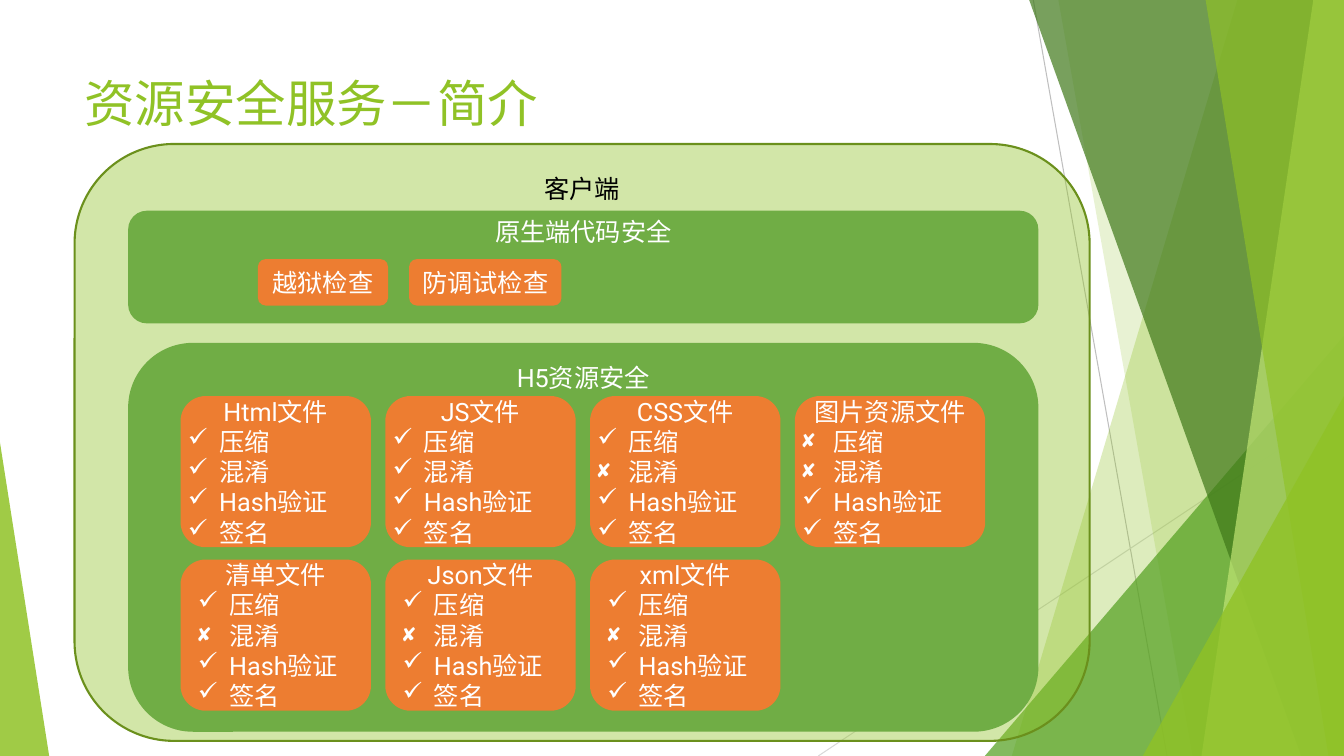
from dataclasses import dataclass

from pptx import Presentation
from pptx.dml.color import RGBColor
from pptx.enum.shapes import MSO_CONNECTOR as Connector, MSO_SHAPE as Preset
from pptx.enum.text import MSO_ANCHOR as Anchor, PP_ALIGN as Align
from pptx.oxml.ns import qn
from pptx.util import Cm, Pt
from lxml.etree import SubElement


@dataclass(frozen=True)
class Theme:
    """Colours, font and type sizes of the slide."""
    font: str = "Roboto"
    title_size: int = 36
    body_size: int = 18
    lime: str = "90C226"
    pale_lime: str = "C0E474"
    leaf: str = "54A021"
    forest: str = "3F7819"
    olive: str = "6B901C"
    panel: str = "70AD45"
    card: str = "ED7D31"
    ray: str = "BFBFBF"
    pale_ray: str = "D9D9D9"
    light: str = "FFFFFF"
    dark: str = "000000"


class SlideBuilder:
    """Draws styled elements on one slide, measured in centimetres."""

    def __init__(self, slide, theme):
        self.shapes = slide.shapes
        self.theme = theme

    def paint(self, shape, colour, opacity=100):
        shape.shadow.inherit = False
        shape.line.fill.background()
        shape.fill.solid()
        shape.fill.fore_color.rgb = RGBColor.from_string(colour)
        if opacity < 100:
            tint = shape._element.spPr.find(qn("a:solidFill"))[0]
            SubElement(tint, qn("a:alpha"), val=str(opacity * 1000))

    def set_text(self, paragraph, text, colour, size, align=Align.LEFT, bullet=None):
        paragraph.text = text
        paragraph.alignment = align
        if bullet:
            properties = paragraph._p.get_or_add_pPr()
            properties.set("marL", str(Cm(0.79)))
            properties.set("indent", str(-Cm(0.79)))
            SubElement(properties, qn("a:buChar"), char=bullet)
        font = paragraph.font
        font.name, font.size = self.theme.font, Pt(size)
        font.color.rgb = RGBColor.from_string(colour)

    def ray(self, start, end, colour):
        line = self.shapes.add_connector(Connector.STRAIGHT, *map(Cm, start + end))
        line.line.color.rgb = RGBColor.from_string(colour)
        line.line.width = Pt(0.75)
        SubElement(line._element.spPr, qn("a:effectLst"))

    def facet(self, top_x, bottom_x, colour, opacity):
        right, top, bottom = Cm(33.87), Cm(-0.02), Cm(19.05)
        outline = self.shapes.build_freeform(Cm(top_x), top)
        outline.add_line_segments([(right, top), (right, bottom), (Cm(bottom_x), bottom)])
        self.paint(outline.convert_to_shape(), colour, opacity)

    def triangle(self, box, apex, colour, opacity):
        triangle = self.shapes.add_shape(Preset.ISOSCELES_TRIANGLE, *map(Cm, box))
        triangle.adjustments[0] = apex
        self.paint(triangle, colour, opacity)

    def title(self, box, text):
        frame = self.shapes.add_textbox(*map(Cm, box)).text_frame
        frame.word_wrap = True
        self.set_text(frame.paragraphs[0], text, self.theme.lime, self.theme.title_size)

    def block(self, preset, box, heading, fill, opacity=100, colour=None,
              anchor=Anchor.MIDDLE, inset=True):
        block = self.shapes.add_shape(preset, *map(Cm, box))
        self.paint(block, fill, opacity)
        frame = block.text_frame
        frame.word_wrap = True
        frame.vertical_anchor = anchor
        if not inset:
            frame.margin_left = frame.margin_right = 0
            frame.margin_top = frame.margin_bottom = 0
        self.set_text(frame.paragraphs[0], heading, colour or self.theme.light,
                      self.theme.body_size, Align.CENTER)
        return block

    def panel(self, box, heading, fill, **style):
        return self.block(Preset.ROUNDED_RECTANGLE, box, heading, fill,
                          anchor=Anchor.TOP, inset=False, **style)

    def card(self, box, heading, checks=(), inset=True):
        card = self.block(Preset.FLOWCHART_ALTERNATE_PROCESS, box, heading,
                          self.theme.card, inset=inset)
        for mark, measure in checks:
            self.set_text(card.text_frame.add_paragraph(), measure, self.theme.light,
                          self.theme.body_size, bullet=mark)


MEASURES = ("压缩", "混淆", "Hash验证", "签名")
FILE_ROWS = (
    (("Html文件", "✓✓✓✓"), ("JS文件", "✓✓✓✓"), ("CSS文件", "✓✘✓✓"), ("图片资源文件", "✘✘✓✓")),
    (("清单文件", "✓✘✓✓"), ("Json文件", "✓✘✓✓"), ("xml文件", "✓✘✓✓")),
)


def draw_backdrop(builder):
    """Draw the green facets along the slide edges."""
    theme = builder.theme
    builder.ray((26.04, 0), (29.41, 19.05), theme.ray)
    builder.ray((33.87, 10.24), (20.62, 19.05), theme.pale_ray)
    builder.facet(31.19, 25.5, theme.lime, 30)
    builder.facet(26.67, 30.05, theme.lime, 20)
    builder.triangle((24.82, 8.46, 9.05, 10.59), 1, theme.leaf, 72)
    builder.facet(25.93, 32.79, theme.forest, 70)
    builder.facet(33.1, 30.28, theme.pale_lime, 70)
    builder.facet(30.38, 33.48, theme.lime, 65)
    builder.triangle((28.8, 9.98, 5.07, 9.07), 1, theme.lime, 80)
    builder.triangle((0, 11.15, 1.24, 7.9), 0, theme.lime, 85)


def draw_client(builder):
    """Draw the client panel with its native and H5 parts."""
    theme = builder.theme
    client = builder.panel((1.88, 3.63, 25.58, 15.04), "客户端", theme.lime,
                           opacity=40, colour=theme.dark)
    client.line.color.rgb = RGBColor.from_string(theme.olive)
    client.line.width = Pt(1.5)
    builder.panel((3.23, 8.64, 22.94, 9.8), "H5资源安全", theme.panel)
    builder.panel((3.23, 5.31, 22.94, 2.84), "原生端代码安全", theme.panel)
    builder.card((6.5, 6.53, 3.28, 1.17), "越狱检查")
    builder.card((10.31, 6.53, 3.84, 1.17), "防调试检查")
    for row, files in enumerate(FILE_ROWS):
        for column, (heading, marks) in enumerate(files):
            box = (4.55 + 5.16 * column, 9.98 + 4.12 * row, 4.8, 3.81)
            builder.card(box, heading, zip(marks, MEASURES), inset=row > 0)


def main():
    """Build and save the slide."""
    presentation = Presentation()
    presentation.slide_width, presentation.slide_height = Cm(33.87), Cm(19.05)
    slide = presentation.slides.add_slide(presentation.slide_layouts[6])
    builder = SlideBuilder(slide, Theme())
    draw_backdrop(builder)
    builder.title((1.88, 1.7, 23.88, 3.66), "资源安全服务－简介")
    draw_client(builder)
    presentation.save("out.pptx")


if __name__ == "__main__":
    main()
